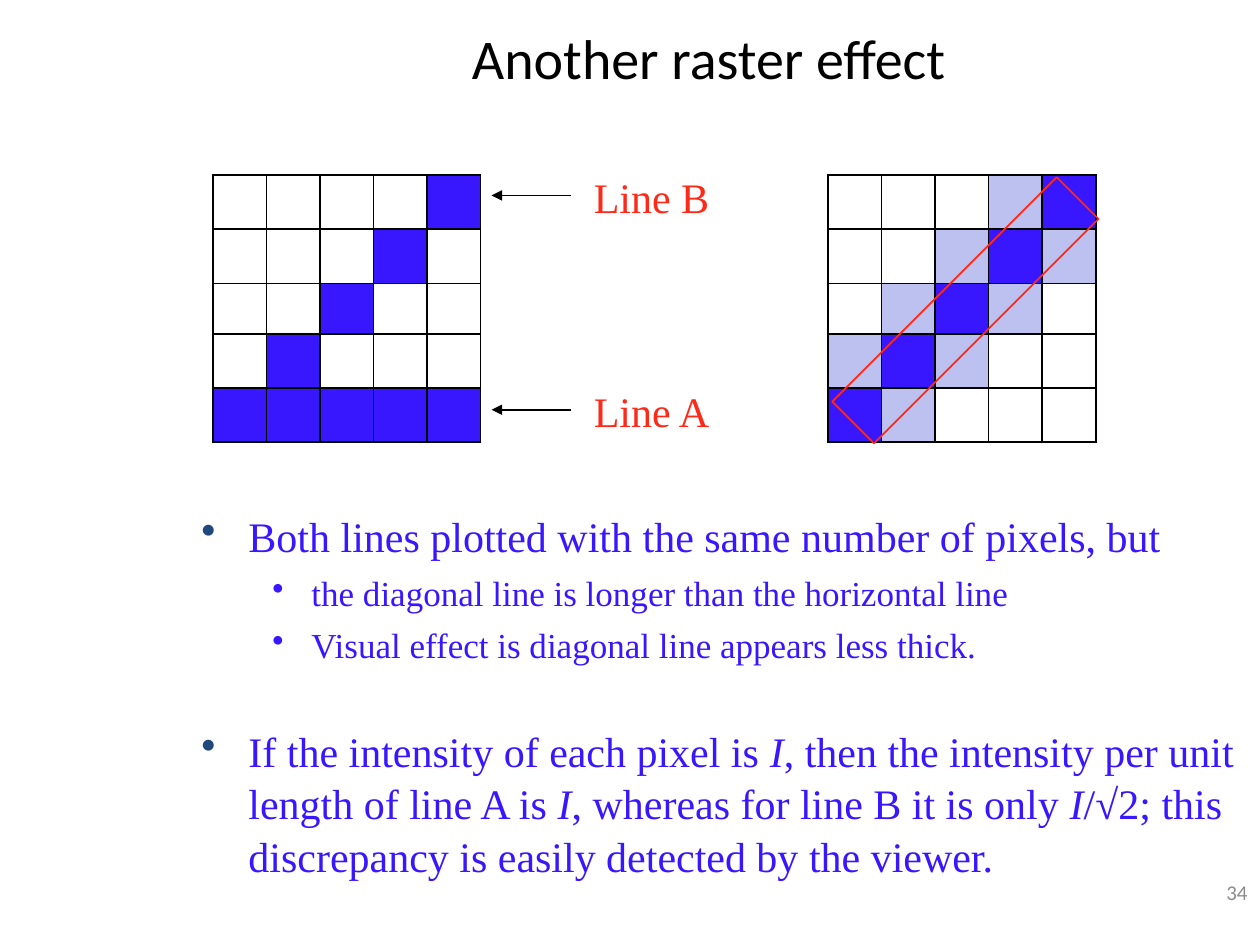
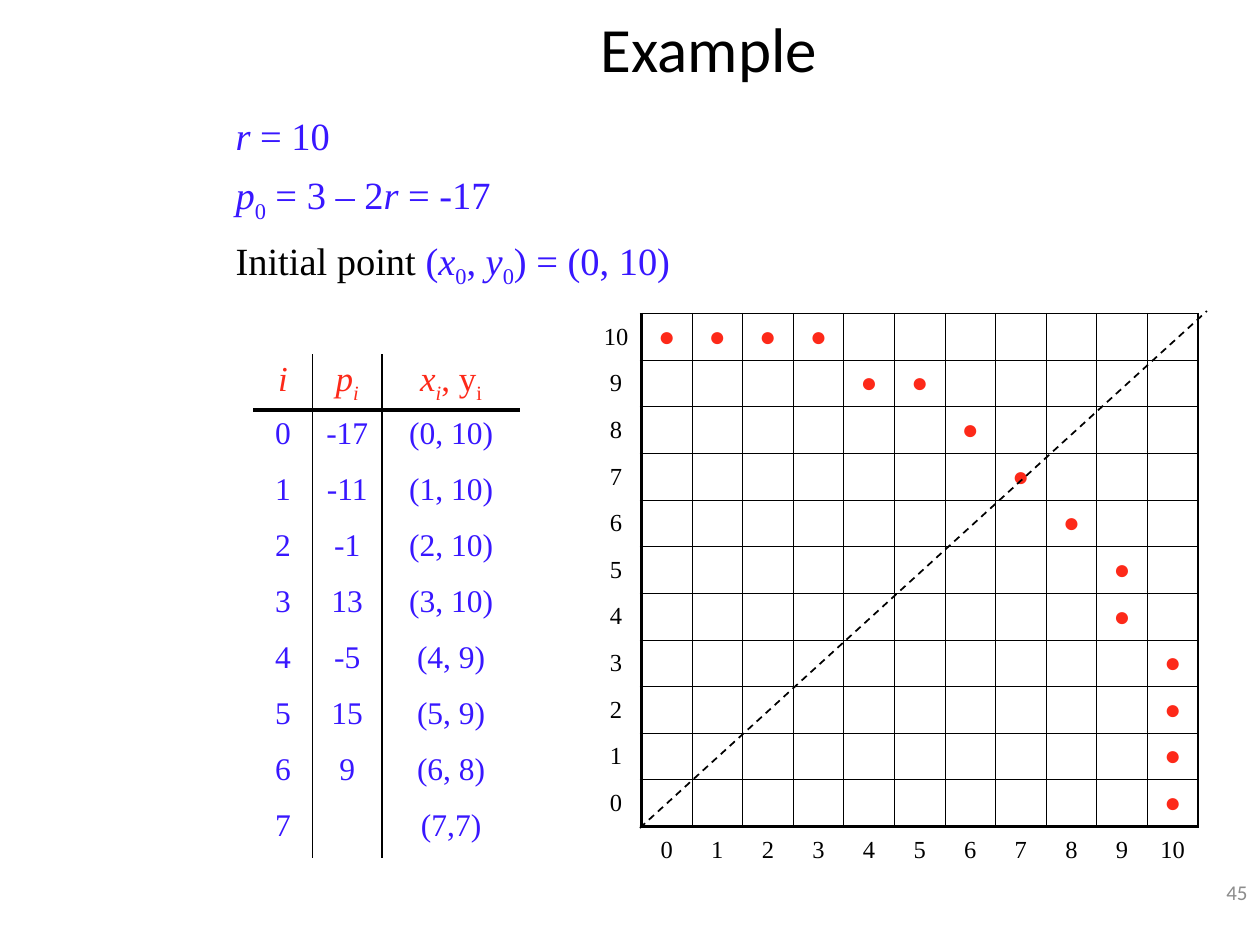
from dataclasses import dataclass

from lxml.etree import SubElement
from pptx import Presentation
from pptx.dml.color import RGBColor as RGB
from pptx.enum.dml import MSO_LINE
from pptx.enum.shapes import MSO_CONNECTOR as CONN, MSO_SHAPE as SHAPE
from pptx.enum.text import MSO_ANCHOR as ANCHOR, PP_ALIGN as ALIGN
from pptx.oxml.ns import qn
from pptx.util import Cm, Pt


@dataclass(frozen=True)
class Theme:
    black: str = "000000"
    blue: str = "3817FF"
    pale: str = "BCC1F0"
    red: str = "FD2919"
    navy: str = "1F497D"
    grey: str = "8C8C8C"
    sans: str = "Calibri"
    serif: str = "Times New Roman"
    body: int = 24
    sub: int = 20
    formula: int = 22
    value: int = 18
    dot: int = 16
    axis: int = 14
    number: int = 12
    thin: float = 0.5
    line: float = 1
    thick: float = 2.25


T = Theme()

GRID_SIZE = 5
RADIUS = 10
DECISIONS = [-17, -11, -1, 13, -5, 15, 9, ""]
OCTANT = [(0, 10), (1, 10), (2, 10), (3, 10), (4, 9), (5, 9), (6, 8), (7, 7)]


# Text: a run is (text, marks), where i is italic, s subscript, k black
def fmt(size, color=T.blue, name=T.serif):
    return {"name": name, "size": Pt(size), "color": color}


def set_font(font, values):
    for key, value in values.items():
        if key == "color":
            font.color.rgb = RGB.from_string(value)
        else:
            setattr(font, key, value)


def write(p, runs, values, **layout):
    for key, value in layout.items():
        setattr(p, key, value)
    if isinstance(runs, str):
        runs = [(runs, "")]
    for text, marks in runs:
        r = p.add_run()
        r.text = text
        set_font(r.font, {**values, "italic": "i" in marks})
        if "k" in marks:
            set_font(r.font, {"color": T.black})
        if "s" in marks:
            r.font._element.set("baseline", "-25000")


def add_text(s, box, wrap=True, anchor=ANCHOR.TOP):
    tf = s.shapes.add_textbox(*map(Cm, box)).text_frame
    tf.word_wrap = wrap
    tf.vertical_anchor = anchor
    return tf


def add_bullet(p, level):
    pPr = p._p.get_or_add_pPr()
    margin, hang = [(0.95, 0.95), (2.22, 0.79)][level]
    pPr.set("marL", str(Cm(margin)))
    pPr.set("indent", str(-Cm(hang)))
    if level == 0:
        SubElement(SubElement(pPr, qn("a:buClr")), qn("a:srgbClr"), val=T.navy)
    else:
        SubElement(pPr, qn("a:buSzPct"), val="95000")
    SubElement(pPr, qn("a:buChar"), char="•")
    p.level = level


def add_slide(prs, title, top, size, number):
    s = prs.slides.add_slide(prs.slide_layouts[5])
    sp = s.shapes.title
    box = {"left": 3.81, "top": top, "width": 20.96, "height": 1.65}
    for key, value in box.items():
        setattr(sp, key, Cm(value))
    tf = sp.text_frame
    tf.vertical_anchor = ANCHOR.MIDDLE
    write(tf.paragraphs[0], title, fmt(size, T.black, T.sans), alignment=ALIGN.CENTER)
    tf = add_text(s, (20.12, 17.35, 5.28, 1.27), anchor=ANCHOR.MIDDLE)
    write(tf.paragraphs[0], str(number), fmt(T.number, T.grey, T.sans), alignment=ALIGN.RIGHT)
    return s


# Lines
def add_line(s, start, end, arrow=False, dash=None):
    c = s.shapes.add_connector(CONN.STRAIGHT, *map(Cm, start + end))
    c.line.color.rgb = RGB.from_string(T.black)
    c.line.width = Pt(T.line)
    if dash:
        c.line.dash_style = dash
    if arrow:
        SubElement(c.line._get_or_add_ln(), qn("a:tailEnd"), type="triangle")
    SubElement(c._element.spPr, qn("a:effectLst"))


# Tables
def set_borders(cell, widths):
    """Widths run left, right, top, bottom; 0 means no line."""
    tcPr = cell._tc.get_or_add_tcPr()
    for side, width in zip("LRTB", widths):
        ln = SubElement(tcPr, qn(f"a:ln{side}"), w=str(Pt(width)))
        if width:
            fill = SubElement(ln, qn("a:solidFill"))
            SubElement(fill, qn("a:srgbClr"), val=T.black)
        else:
            SubElement(ln, qn("a:noFill"))


def add_table(s, left, top, widths, heights, edges, content, anchor=ANCHOR.MIDDLE, margin=0):
    """edges(r, c) gives border widths; content(r, c) gives fill, runs and font."""
    frame = s.shapes.add_table(len(heights), len(widths), Cm(left), Cm(top),
                               Cm(sum(widths)), Cm(sum(heights)))
    table = frame.table
    table.first_row = table.horz_banding = False
    for col, width in zip(table.columns, widths):
        col.width = Cm(width)
    for r, (row, height) in enumerate(zip(table.rows, heights)):
        row.height = Cm(height)
        for c, cell in enumerate(row.cells):
            cell.margin_left = cell.margin_right = cell.margin_bottom = 0
            cell.margin_top = Cm(margin)
            cell.vertical_anchor = anchor
            set_borders(cell, edges(r, c))
            fill, runs, values = content(r, c)
            if fill:
                cell.fill.solid()
                cell.fill.fore_color.rgb = RGB.from_string(fill)
            else:
                cell.fill.background()
            if runs:
                write(cell.text_frame.paragraphs[0], runs, values, alignment=ALIGN.CENTER)


def add_raster(s, left, pixel_color):
    add_table(s, left, 3.53, [1.08] * GRID_SIZE, [1.09, 1.09, 1.02, 1.09, 1.09],
              lambda r, c: [T.line] * 4,
              lambda r, c: (pixel_color(r, c), None, None))


def thin_lines(r, c):
    last = GRID_SIZE - 1
    return T.blue if r == last or r + c == last else None


def thick_line(r, c):
    return {0: T.blue, 1: T.pale}.get(abs(r + c - GRID_SIZE + 1))


def circle_edges(r, c):
    if c == 0:
        return 0, T.thick if r <= RADIUS else 0, 0, 0
    if r > RADIUS:
        return 0, 0, T.thick, 0
    return (T.thick if c == 1 else T.thin,
            T.line if c == RADIUS + 1 else T.thin,
            T.line if r == 0 else T.thin,
            T.thick if r == RADIUS else T.thin)


def circle_content(r, c):
    x, y = c - 1, RADIUS - r
    if x < 0 or y < 0:
        label = "" if x == y else str(max(x, y))
        return None, label, fmt(T.axis, T.black)
    on_circle = (x, y) in OCTANT or (y, x) in OCTANT
    return None, "●" if on_circle else None, fmt(T.dot, T.red)


def step_edges(r, c):
    return (T.line if c > 0 else 0, T.line if c < 2 else 0,
            T.thick if r == 1 else 0, T.thick if r == 0 else 0)


def step_content(r, c):
    if r == 0:
        header = [[("i", "i")],
                  [("p", "i"), ("i", "is")],
                  [("x", "i"), ("i", "is"), (", y", ""), ("i", "s")]][c]
        return None, header, fmt(T.sub, T.red)
    i = r - 1
    x, y = OCTANT[i]
    point = f"({x},{y})" if i == 7 else f"({x}, {y})"
    return None, [str(i), str(DECISIONS[i]), point][c], fmt(T.value)


def raster_slide(prs):
    s = add_slide(prs, "Another raster effect", 0.33, 32, 34)

    # Two pixel grids, with the ideal line over the second
    add_raster(s, 4.29, thin_lines)
    add_raster(s, 16.69, thick_line)
    sp = s.shapes.add_shape(SHAPE.RECTANGLE, Cm(16.26), Cm(5.66), Cm(6.4), Cm(1.19))
    sp.shadow.inherit = False
    sp.rotation = 315
    sp.fill.background()
    sp.line.color.rgb = RGB.from_string(T.red)
    sp.line.width = Pt(T.line)

    # Line labels and their arrows
    for label, top in (("Line B", 3.33), ("Line A", 7.65)):
        tf = add_text(s, (11.7, top, 2.87, 1.27), wrap=False)
        write(tf.paragraphs[0], label, fmt(T.body, T.red), alignment=ALIGN.CENTER)
        add_line(s, (11.51, top + 0.61), (9.91, top + 0.61), arrow=True)

    # Bullets: level, space before, runs
    tf = add_text(s, (3.81, 10.13, 21.59, 8.2))
    bullets = [
        (0, 0, "Both lines plotted with the same number of pixels, but"),
        (1, 5, "the diagonal line is longer than the horizontal line"),
        (1, 5, "Visual effect is diagonal line appears less thick."),
        (0, 33, [("If the intensity of each pixel is ", ""), ("I", "i"),
                 (", then the intensity per unit length of line A is ", ""), ("I", "i"),
                 (", whereas for line B it is only ", ""), ("I", "i"),
                 ("/√2; this discrepancy is easily detected by the viewer.", "")]),
    ]
    for n, (level, before, runs) in enumerate(bullets):
        p = tf.add_paragraph() if n else tf.paragraphs[0]
        add_bullet(p, level)
        write(p, runs, fmt(T.sub if level else T.body),
              space_before=Pt(before), line_spacing=1.04)


def example_slide(prs):
    s = add_slide(prs, "Example", 0.13, 36, 45)

    # Circle raster and decision table
    cells = RADIUS + 2
    add_table(s, 11.91, 6.32, [1.02] * cells, [0.94] * cells, circle_edges, circle_content)
    add_table(s, 5.11, 7.14, [1.19, 1.4, 2.79], [1.13] * (len(OCTANT) + 1),
              step_edges, step_content, anchor=ANCHOR.TOP, margin=0.13)

    # Starting values
    tf = add_text(s, (4.5, 2.13, 19.76, 3.61))
    formulas = [
        [("r ", "i"), ("= 10", "")],
        [("p", "i"), ("0", "s"), (" = 3 – 2", ""), ("r ", "i"), ("= -17", "")],
        [("Initial point ", "k"), ("(", ""), ("x", "i"), ("0", "s"), (", ", ""),
         ("y", "i"), ("0", "s"), (") = (0, 10)", "")],
    ]
    for n, runs in enumerate(formulas):
        p = tf.add_paragraph() if n else tf.paragraphs[0]
        write(p, runs, fmt(T.formula), space_before=Pt(7.5 if n else 0))

    # Axis of symmetry
    add_line(s, (12.9, 16.69), (24.33, 6.27), dash=MSO_LINE.DASH)


def main():
    prs = Presentation()
    prs.slide_width, prs.slide_height = Cm(25.4), Cm(19.05)
    raster_slide(prs)
    example_slide(prs)
    prs.save("out.pptx")


if __name__ == "__main__":
    main()
